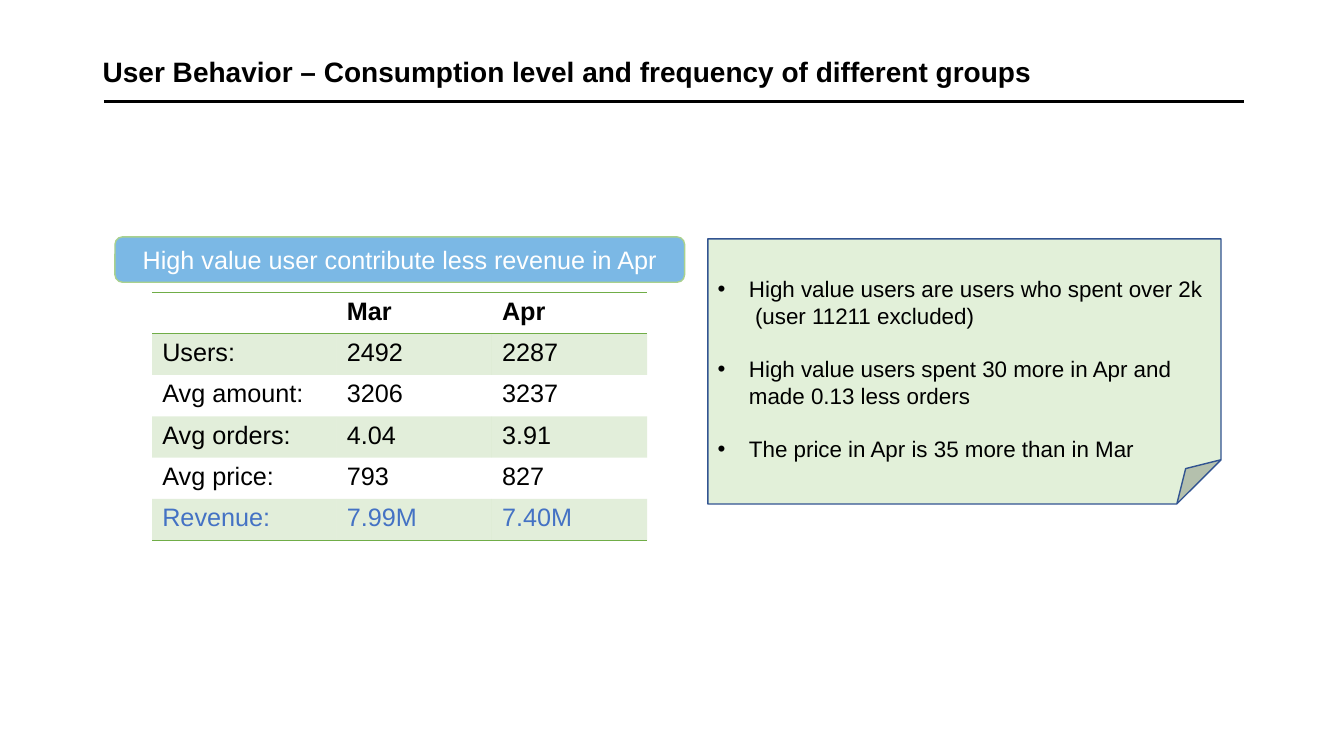
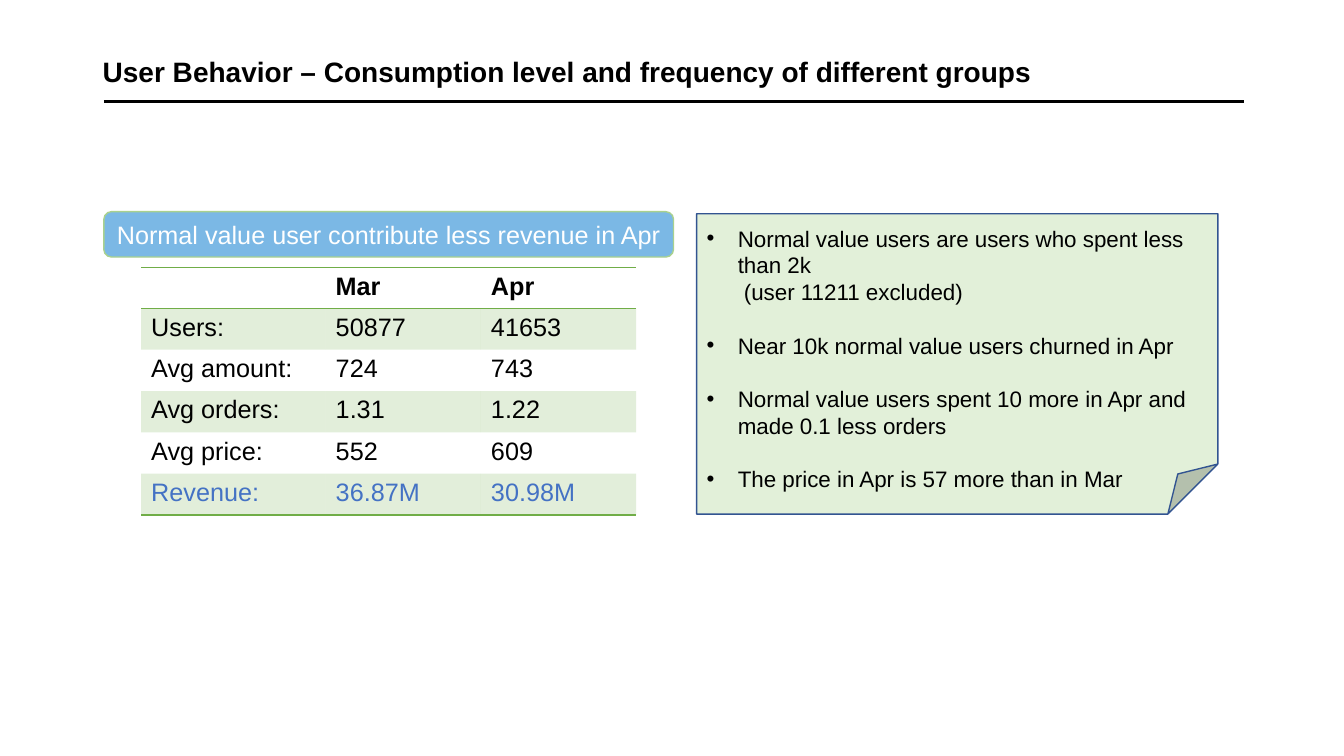
from lxml.etree import SubElement
from pptx import Presentation
from pptx.dml.color import RGBColor
from pptx.enum.shapes import MSO_CONNECTOR, MSO_SHAPE
from pptx.enum.text import MSO_ANCHOR, PP_ALIGN
from pptx.oxml.ns import qn
from pptx.util import Inches, Pt

FONT = "Arial"
BLACK, WHITE, BLUE = "000000", "FFFFFF", "4472C4"
BANNER_FILL, BANNER_LINE = "7BB8E5", "A9D18E"
NOTE_FILL, NOTE_LINE = "E2F0D9", "325491"
TABLE_GREEN = "70AD47"
PLAIN_TABLE_STYLE = "{2D5ABB26-0587-4C30-8999-92F81FD0307C}"

TITLE = "User Behavior – Consumption level and frequency of different groups"
MEASURES = ["", "Users:", "Avg amount:", "Avg orders:", "Avg price:", "Revenue:"]
EXCLUDED = "(user 11211 excluded)"
COLUMN_WIDTHS = [1.83, 1.54, 1.54]
ROW_HEIGHT = 0.41
BANNER_WIDTH, BANNER_HEIGHT = 5.65, 0.45
TABLE_OFFSET = (0.37, 0.55)
NOTE_OFFSET = (5.88, 0.02)
NOTE_INDENT, SPACE_WIDTH = 0.31, 0.06
NOTE_LINE_HEIGHT = Pt(19.1)

GROUPS = [
    {
        "origin": (1.14, 2.35),
        "banner": "High value user contribute less revenue in Apr",
        "march": ["Mar", "2492", "3206", "4.04", "793", "7.99M"],
        "april": ["Apr", "2287", "3237", "3.91", "827", "7.40M"],
        "note_size": (5.09, 2.63),
        "note_margin": 0.36,
        "notes": [
            "High value users are users who spent over 2k",
            EXCLUDED,
            "High value users spent 30 more in Apr and made 0.13 less orders",
            "The price in Apr is 35 more than in Mar",
        ],
    },
    {
        "origin": (1.03, 2.1),
        "banner": "Normal value user contribute less revenue in Apr",
        "march": ["Mar", "50877", "724", "1.31", "552", "36.87M"],
        "april": ["Apr", "41653", "743", "1.22", "609", "30.98M"],
        "note_size": (5.17, 2.98),
        "note_margin": 0.11,
        "notes": [
            "Normal value users are users who spent less than 2k",
            EXCLUDED,
            "Near 10k normal value users churned in Apr",
            "Normal value users spent 10 more in Apr and made 0.1 less orders",
            "The price in Apr is 57 more than in Mar",
        ],
    },
]


def colour(hex_code):
    """Turn a hex string into a colour."""
    return RGBColor.from_string(hex_code)


def write(paragraph, text, size, hex_code=BLACK, bold=False):
    """Fill a paragraph and format its runs."""
    paragraph.text = text
    for run in paragraph.runs:
        run.font.name = FONT
        run.font.size = Pt(size)
        run.font.bold = bold
        run.font.color.rgb = colour(hex_code)


presentation = Presentation()
presentation.slide_width, presentation.slide_height = Inches(13.33), Inches(7.5)

for group in GROUPS:
    slide = presentation.slides.add_slide(presentation.slide_layouts[6])
    left, top = group["origin"]

    # Title and rule
    title = slide.shapes.add_textbox(Inches(0.92), Inches(0.4), Inches(11.5), Inches(0.54))
    title.text_frame.word_wrap = True
    title.text_frame.vertical_anchor = MSO_ANCHOR.MIDDLE
    write(title.text_frame.paragraphs[0], TITLE, 20, bold=True)
    title.text_frame.paragraphs[0].line_spacing = 1.2
    rule = slide.shapes.add_connector(
        MSO_CONNECTOR.STRAIGHT, Inches(1.03), Inches(1.01), Inches(12.34), Inches(1.01))
    rule.line.color.rgb = colour(BLACK)
    rule.line.width = Pt(2.25)
    SubElement(rule.element.spPr, qn("a:effectLst"))

    # Banner and note shapes
    banner = slide.shapes.add_shape(
        MSO_SHAPE.ROUNDED_RECTANGLE, Inches(left), Inches(top),
        Inches(BANNER_WIDTH), Inches(BANNER_HEIGHT))
    note = slide.shapes.add_shape(
        MSO_SHAPE.FOLDED_CORNER, Inches(left + NOTE_OFFSET[0]), Inches(top + NOTE_OFFSET[1]),
        *map(Inches, group["note_size"]))
    for shape, fill, line in [(banner, BANNER_FILL, BANNER_LINE), (note, NOTE_FILL, NOTE_LINE)]:
        shape.shadow.inherit = False
        shape.fill.solid()
        shape.fill.fore_color.rgb = colour(fill)
        shape.line.color.rgb = colour(line)
        shape.line.width = Pt(1)

    banner.text_frame.word_wrap = False
    banner.text_frame.vertical_anchor = MSO_ANCHOR.MIDDLE
    write(banner.text_frame.paragraphs[0], group["banner"], 18, WHITE)
    banner.text_frame.paragraphs[0].alignment = PP_ALIGN.CENTER

    # Bulleted note text
    frame = note.text_frame
    frame.word_wrap = True
    frame.vertical_anchor = MSO_ANCHOR.TOP
    frame.margin_top = Inches(group["note_margin"])
    frame.text = "\n".join(group["notes"])
    for index, paragraph in enumerate(frame.paragraphs):
        bulleted = group["notes"][index] != EXCLUDED
        write(paragraph, group["notes"][index], 16)
        paragraph.alignment = PP_ALIGN.LEFT
        paragraph.line_spacing = NOTE_LINE_HEIGHT
        paragraph.space_before = NOTE_LINE_HEIGHT if bulleted and index else Pt(0)
        properties = paragraph._p.get_or_add_pPr()
        if bulleted:
            properties.set("marL", str(Inches(NOTE_INDENT)))
            properties.set("indent", str(-Inches(NOTE_INDENT)))
            SubElement(properties, qn("a:buFont"), typeface=FONT)
            SubElement(properties, qn("a:buChar"), char="•")
        else:
            properties.set("marL", str(Inches(NOTE_INDENT + SPACE_WIDTH)))

    # Table with banded rows and green rules
    rows = list(zip(MEASURES, group["march"], group["april"]))
    last_row = len(rows) - 1
    frame = slide.shapes.add_table(
        len(rows), len(COLUMN_WIDTHS),
        Inches(left + TABLE_OFFSET[0]), Inches(top + TABLE_OFFSET[1]),
        Inches(sum(COLUMN_WIDTHS)), Inches(ROW_HEIGHT * len(rows)))
    table = frame.table
    table._tbl.tblPr.find(qn("a:tableStyleId")).text = PLAIN_TABLE_STYLE
    for column, width in zip(table.columns, COLUMN_WIDTHS):
        column.width = Inches(width)
    for row_index, row in enumerate(rows):
        table.rows[row_index].height = Inches(ROW_HEIGHT)
        edges = {0: ["a:lnT", "a:lnB"], last_row: ["a:lnB"]}.get(row_index, [])
        for column_index, text in enumerate(row):
            cell = table.cell(row_index, column_index)
            write(cell.text_frame.paragraphs[0], text, 18,
                  BLUE if row_index == last_row else BLACK, bold=row_index == 0)
            properties = cell._tc.get_or_add_tcPr()
            for edge in edges:
                border = SubElement(properties, qn(edge), w=str(Pt(1)))
                border_fill = SubElement(border, qn("a:solidFill"))
                SubElement(border_fill, qn("a:srgbClr"), val=TABLE_GREEN)
            if row_index % 2:
                cell.fill.solid()
                cell.fill.fore_color.rgb = colour(TABLE_GREEN)
                band = properties.find(qn("a:solidFill")).find(qn("a:srgbClr"))
                SubElement(band, qn("a:alpha"), val="20000")
            else:
                cell.fill.background()

presentation.save("out.pptx")
